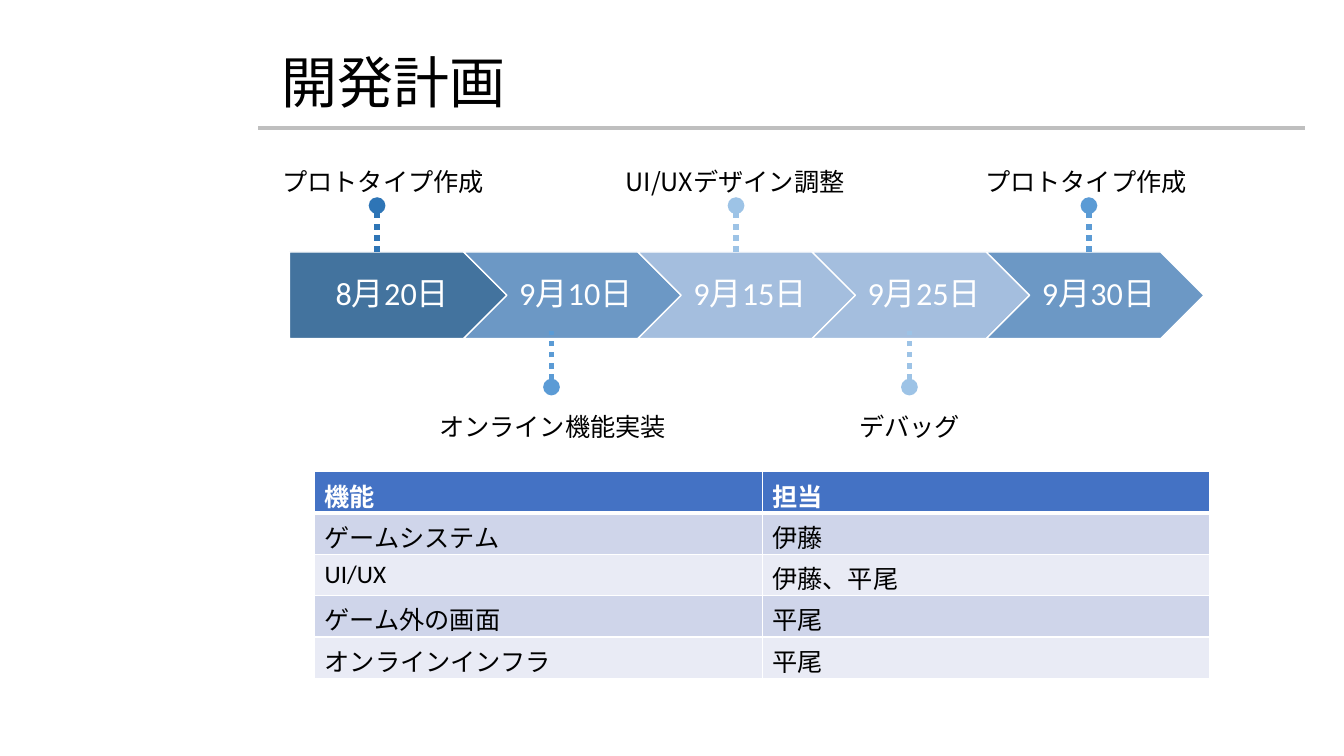
"""Build a development plan slide with a dated timeline and a table of duties."""
from lxml import etree
from pptx import Presentation
from pptx.dml.color import RGBColor
from pptx.enum.dml import MSO_LINE
from pptx.enum.lang import MSO_LANGUAGE_ID
from pptx.enum.shapes import MSO_CONNECTOR, MSO_SHAPE
from pptx.enum.text import MSO_ANCHOR, PP_ALIGN
from pptx.oxml.ns import qn
from pptx.util import Inches, Pt

TITLE = "開発計画"
JAPANESE_FONT = "Noto Sans CJK JP"
LATIN_FONT = "Calibri"
# date, task, step fill, pin colour, pin centre, label centre
MILESTONES = [
    ("8月20日", "プロトタイプ作成", "43739E", "2E75B6", 3.74, 3.8),
    ("9月10日", "オンライン機能実装", "6C98C5", "5B9BD5", 5.47, 5.48),
    ("9月15日", "UI/UXデザイン調整", "A4BEDE", "9DC3E6", 7.3, 7.29),
    ("9月25日", "デバッグ", "A4BEDE", "9DC3E6", 9.02, 9.02),
    ("9月30日", "プロトタイプ作成", "6C98C5", "5B9BD5", 10.8, 10.77),
]
DUTIES = [
    ("機能", "担当"),
    ("ゲームシステム", "伊藤"),
    ("UI/UX", "伊藤、平尾"),
    ("ゲーム外の画面", "平尾"),
    ("オンラインインフラ", "平尾"),
]
HEADER_FILL, BAND_FILLS = "4472C4", ("E9EBF5", "CFD5EA")

STEP_LEFT, STEP_TOP, STEP_WIDTH, STEP_HEIGHT = 2.87, 2.5, 2.16, 0.86
STEP_PITCH = 0.8 * STEP_WIDTH
LABEL_WIDTH, LABEL_HEIGHT = 2.92, 0.47
ABOVE = {"label": 1.58, "dot": 2.04, "end": STEP_TOP}
BELOW = {"label": 4.01, "dot": 3.84, "end": 3.28}
TABLE_LEFT, TABLE_TOP, COLUMN_WIDTH, ROW_HEIGHT = 3.12, 4.68, 4.44, 0.41


def colour(value):
    return RGBColor.from_string(value)


def inches(*lengths):
    return [Inches(length) for length in lengths]


def write(frame, text, size=18, fill="000000", font=JAPANESE_FONT, bold=False,
          align=PP_ALIGN.LEFT, anchor=MSO_ANCHOR.MIDDLE, spacing=0.9):
    frame.word_wrap = True
    frame.vertical_anchor = anchor
    para = frame.paragraphs[0]
    para.alignment = align
    para.line_spacing = spacing
    span = para.add_run()
    span.text = text
    span.font.size = Pt(size)
    span.font.bold = bold
    span.font.name = font
    span.font.language_id = MSO_LANGUAGE_ID.JAPANESE
    span.font.color.rgb = colour(fill)
    etree.SubElement(span.font._element, qn("a:ea"), typeface=JAPANESE_FONT)


def add_line(page, start, end, fill, width):
    line = page.shapes.add_connector(MSO_CONNECTOR.STRAIGHT, *inches(*start, *end))
    line.line.color.rgb = colour(fill)
    line.line.width = Pt(width)
    etree.SubElement(line._element.spPr, qn("a:effectLst"))
    return line


def add_step(page, index, date, fill):
    kind = MSO_SHAPE.CHEVRON if index else MSO_SHAPE.PENTAGON
    left = STEP_LEFT + index * STEP_PITCH
    step = page.shapes.add_shape(kind, *inches(left, STEP_TOP, STEP_WIDTH, STEP_HEIGHT))
    step.adjustments[0] = 0.5
    step.shadow.inherit = False
    step.fill.solid()
    step.fill.fore_color.rgb = colour(fill)
    step.line.color.rgb = colour("FFFFFF")
    step.line.width = Pt(1)
    frame = step.text_frame
    frame.margin_left = Inches(0.1 if index else 0.13)
    frame.margin_right = Inches(0.03)
    frame.margin_top = frame.margin_bottom = Inches(0.07)
    write(frame, date, size=23, fill="FFFFFF", font=LATIN_FONT, align=PP_ALIGN.CENTER)


def add_pin(page, side, centre, fill):
    pin = add_line(page, (centre, side["dot"]), (centre, side["end"]), fill, 4)
    pin.line.dash_style = MSO_LINE.ROUND_DOT
    etree.SubElement(pin.line._ln, qn("a:headEnd"), type="oval")


def add_label(page, side, centre, task):
    left = centre - LABEL_WIDTH / 2
    box = page.shapes.add_textbox(*inches(left, side["label"], LABEL_WIDTH, LABEL_HEIGHT))
    write(box.text_frame, task, align=PP_ALIGN.CENTER)


def add_border(cell, edge, width):
    properties = cell._tc.get_or_add_tcPr()
    border = etree.SubElement(properties, qn(f"a:ln{edge}"), w=str(Pt(width)))
    solid = etree.SubElement(border, qn("a:solidFill"))
    etree.SubElement(solid, qn("a:srgbClr"), val="FFFFFF")


def add_duties(page):
    rows, columns = len(DUTIES), len(DUTIES[0])
    table = page.shapes.add_table(rows, columns, *inches(
        TABLE_LEFT, TABLE_TOP, columns * COLUMN_WIDTH, rows * ROW_HEIGHT)).table
    for column in table.columns:
        column.width = Inches(COLUMN_WIDTH)
    for row, texts in enumerate(DUTIES):
        table.rows[row].height = Inches(ROW_HEIGHT)
        header = row == 0
        for column, text in enumerate(texts):
            cell = table.cell(row, column)
            for edge in "LRTB":
                thick = (header and edge == "B") or (row == 1 and edge == "T")
                add_border(cell, edge, 3 if thick else 1)
            cell.fill.solid()
            cell.fill.fore_color.rgb = colour(HEADER_FILL if header else BAND_FILLS[row % 2])
            write(cell.text_frame, text, fill="FFFFFF" if header else "000000",
                  font=LATIN_FONT, bold=header, anchor=MSO_ANCHOR.TOP, spacing=1.0)


def main():
    deck = Presentation()
    deck.slide_width, deck.slide_height = inches(13.33, 7.5)
    page = deck.slides.add_slide(deck.slide_layouts[5])
    add_line(page, (2.56, 1.27), (12.94, 1.27), "BFBFBF", 2.25)
    title = page.shapes.title
    title.left, title.top, title.width, title.height = inches(2.69, 0.12, 10.42, 1.45)
    write(title.text_frame, TITLE, size=40)
    for index, (date, _, fill, *_) in enumerate(MILESTONES):
        add_step(page, index, date, fill)
    for index, (_, task, _, fill, pin_centre, label_centre) in enumerate(MILESTONES):
        side = BELOW if index % 2 else ABOVE
        add_pin(page, side, pin_centre, fill)
        add_label(page, side, label_centre, task)
    add_duties(page)
    deck.save("out.pptx")


if __name__ == "__main__":
    main()
